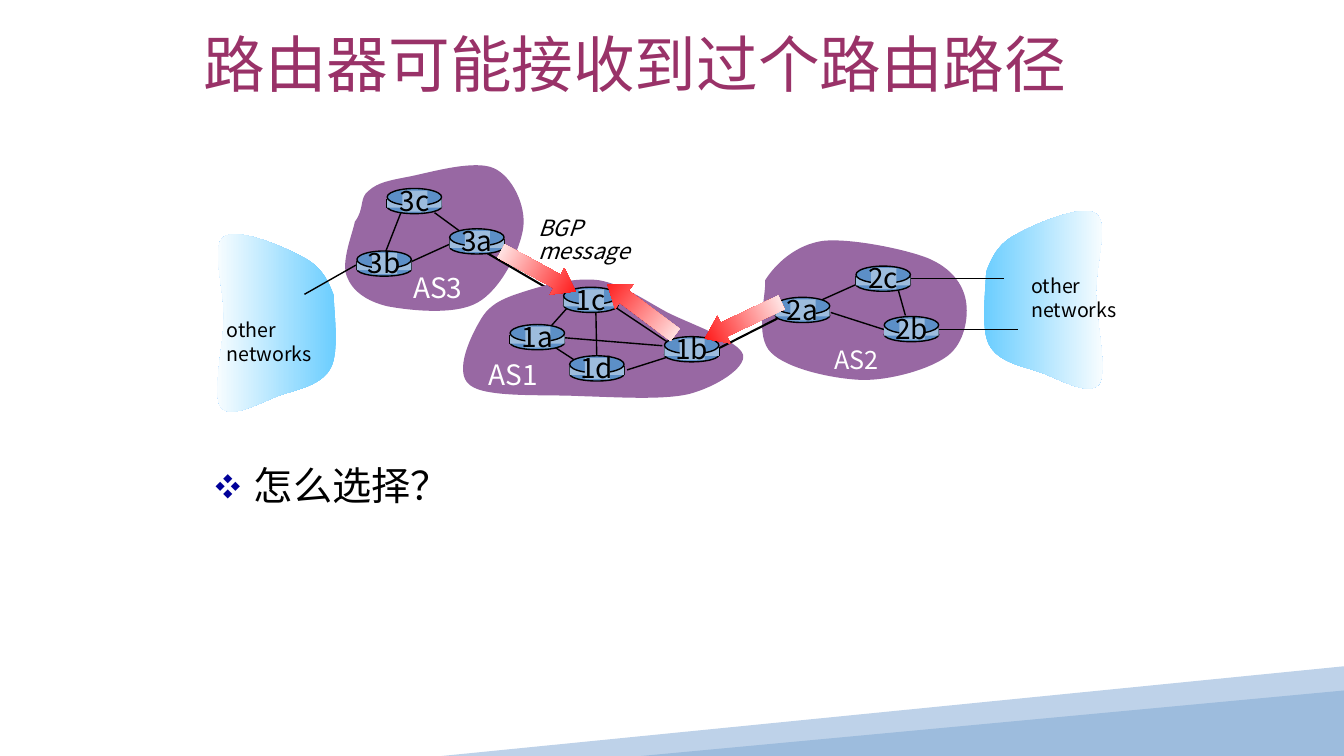
from pptx import Presentation
from pptx.dml.color import RGBColor
from pptx.enum.shapes import MSO_CONNECTOR, MSO_SHAPE
from pptx.enum.text import MSO_ANCHOR, MSO_AUTO_SIZE, PP_ALIGN
from pptx.oxml.ns import qn
from pptx.util import Pt
from lxml.etree import SubElement

PX = 9144  # 100 px to the inch
FONT = "Noto Sans CJK SC"

BLACK = RGBColor(0x00, 0x00, 0x00)
WHITE = RGBColor(0xFF, 0xFF, 0xFF)
PLUM = RGBColor(0x99, 0x32, 0x68)
AS_PURPLE = RGBColor(0x98, 0x68, 0xA3)
SKY = RGBColor(0x66, 0xCC, 0xFF)
RED = RGBColor(0xFF, 0x00, 0x00)
ROUTER_DARK = RGBColor(0x5C, 0x8F, 0xC7)
ROUTER_LIGHT = RGBColor(0x9D, 0xBC, 0xDD)
WEDGE_LIGHT = RGBColor(0xBE, 0xD2, 0xE9)

# Outlines: a start point, then cubic curves of two controls and an end.
OTHER_NETWORKS = [
    (978, 270), (984, 254), (991, 241), (1009, 232),
    (1027, 222), (1074, 202), (1087, 212), (1100, 221), (1087, 262), (1087, 290),
    (1087, 319), (1099, 368), (1090, 381), (1080, 394), (1049, 375), (1031, 369),
    (1013, 363), (990, 359), (981, 342), (972, 326), (978, 285), (978, 270)]
AS2 = [
    (759, 278), (769, 262), (789, 243), (816, 239),
    (843, 236), (897, 247), (920, 256), (944, 266), (955, 282), (958, 298),
    (961, 314), (957, 340), (940, 353), (923, 366), (885, 377), (856, 377),
    (826, 376), (781, 366), (765, 350), (748, 334), (760, 293), (759, 278)]
AS3 = [
    (352, 220), (362, 207), (356, 196), (366, 189),
    (375, 181), (386, 179), (407, 175), (427, 171), (471, 158), (490, 167),
    (508, 175), (522, 204), (519, 226), (516, 248), (497, 287), (474, 300),
    (452, 313), (407, 308), (385, 304), (363, 299), (349, 288), (344, 274),
    (338, 260), (350, 231), (352, 220)]
AS1 = [
    (478, 315), (488, 299), (505, 294), (524, 288),
    (543, 282), (571, 275), (594, 278), (617, 282), (638, 297), (662, 310),
    (686, 322), (733, 338), (737, 352), (740, 365), (710, 384), (683, 391),
    (656, 397), (612, 394), (576, 393), (540, 391), (482, 395), (466, 382),
    (449, 369), (468, 331), (478, 315)]

LINKS = [  # x1, y1, x2, y2, width in points
    (407, 260, 451, 240, 1), (457, 230, 431, 211, 1), (398, 210, 382, 251, 1),
    (353, 263, 302, 292, 1), (805, 302, 852, 281, 1), (824, 310, 877, 327, 1),
    (891, 288, 898, 313, 1), (902, 276, 996, 276, 0.75), (930, 327, 1010, 327, 0.75),
    (563, 305, 547, 323, 1), (591, 309, 592, 359, 1), (609, 304, 663, 340, 1),
    (663, 354, 622, 367, 1), (657, 343, 559, 335, 1), (548, 343, 571, 358, 1),
    (714, 345, 771, 316, 1.5)]
ROUTERS = {
    "3b": (354, 249), "3c": (384, 187), "3a": (446, 227),
    "1c": (559, 285), "1a": (506, 322), "1d": (565, 353), "1b": (659, 334),
    "2a": (769, 295), "2c": (849, 264), "2b": (877, 314)}
MESSAGES = [(492, 254, 208.5), (695, 303, 334.7), (594, 292, 36.9)]


def emu(*lengths):
    return [round(length * PX) for length in lengths]


def paint(shape, colour, outlined=False):
    shape.shadow.inherit = False
    shape.fill.solid()
    shape.fill.fore_color.rgb = colour
    if outlined:
        shape.line.color.rgb = BLACK
        shape.line.width = Pt(1)
    else:
        shape.line.fill.background()


def fade(shape, colour, angle=0):
    """Fill with a gradient from the colour to white."""
    paint(shape, colour)
    shape.fill.gradient()
    shape.fill.gradient_angle = angle
    for stop, shade in zip(shape.fill.gradient_stops, (colour, WHITE)):
        stop.color.rgb = shade


def add_preset(slide, preset, x, y, width, height):
    return slide.shapes.add_shape(preset, *emu(x, y, width, height))


def add_outline(slide, points):
    start, *rest = [emu(*point) for point in points]
    builder = slide.shapes.build_freeform(*start)
    builder.add_line_segments(rest, close=True)
    return builder.convert_to_shape()


def add_cloud(slide, outline):
    """Draw the outline, turning each three segments into one cubic curve."""
    cloud = add_outline(slide, outline)
    segments = list(cloud._element.iter(qn("a:lnTo")))
    for i in range(0, len(outline) - 1, 3):
        curve, *others = segments[i:i + 3]
        curve.tag = qn("a:cubicBezTo")
        for segment in others:
            curve.append(segment[0])
            segment.getparent().remove(segment)
    return cloud


def add_link(slide, x1, y1, x2, y2, width=1):
    link = slide.shapes.add_connector(MSO_CONNECTOR.STRAIGHT, *emu(x1, y1, x2, y2))
    link.line.color.rgb = BLACK
    link.line.width = Pt(width)
    SubElement(link._element.spPr, qn("a:effectLst"))


def write(frame, text, size, colour, italic=None, align=PP_ALIGN.LEFT, spacing=None):
    frame.text = text
    for paragraph in frame.paragraphs:
        paragraph.alignment = align
        paragraph.line_spacing = spacing
        for run in paragraph.runs:
            run.font.name = FONT
            run.font.size = Pt(size)
            run.font.italic = italic
            run.font.color.rgb = colour
            SubElement(run._r.get_or_add_rPr(), qn("a:ea"), typeface=FONT)


def add_label(slide, box, text, size, colour=BLACK, **style):
    frame = slide.shapes.add_textbox(*emu(*box)).text_frame
    frame.word_wrap = False
    frame.auto_size = MSO_AUTO_SIZE.SHAPE_TO_FIT_TEXT
    write(frame, text, size, colour, **style)


def add_router(slide, name, x, y):
    paint(add_preset(slide, MSO_SHAPE.OVAL, x, y + 11, 54, 14), ROUTER_DARK, True)
    for side in (x, x + 54):
        add_link(slide, side, y + 10, side, y + 19)
    paint(add_preset(slide, MSO_SHAPE.RECTANGLE, x, y + 10, 54, 9), ROUTER_LIGHT)
    paint(add_preset(slide, MSO_SHAPE.OVAL, x, y, 54, 17), ROUTER_DARK, True)
    paint(add_preset(slide, MSO_SHAPE.RECTANGLE, x + 15, y + 2, 25, 21), ROUTER_LIGHT)
    add_label(slide, (x, y - 10, 54, 44), name, 20, align=PP_ALIGN.CENTER)


def add_message_arrow(slide, x, y, rotation):
    arrow = add_preset(slide, MSO_SHAPE.LEFT_ARROW, x, y, 84, 30)
    arrow.adjustments[0] = 0.5
    arrow.adjustments[1] = 0.695
    arrow.rotation = rotation
    fade(arrow, RED)


def add_question(slide, text):
    frame = slide.shapes.add_textbox(*emu(204, 458, 875, 259)).text_frame
    frame.word_wrap = True
    write(frame, text, 28, BLACK, spacing=0.9)
    props = frame.paragraphs[0]._p.get_or_add_pPr()
    indent = 38 * PX
    props.set("marL", str(indent))
    props.set("indent", str(-indent))
    SubElement(SubElement(props, qn("a:buClr")), qn("a:srgbClr"), val="000099")
    SubElement(props, qn("a:buSzPct"), val="65000")
    SubElement(props, qn("a:buFont"), typeface=FONT)
    SubElement(props, qn("a:buChar"), char="❖")


def set_title(slide, text):
    title = slide.shapes.title
    title.left, title.top, title.width, title.height = emu(192, 0, 925, 125)
    title.text_frame.vertical_anchor = MSO_ANCHOR.MIDDLE
    write(title.text_frame, text, 44, PLUM)


def add_footer_wedges(slide):
    paint(add_outline(slide, [(1333, 661), (1333, 744), (897, 750), (438, 750)]), WEDGE_LIGHT)
    wedge = add_preset(slide, MSO_SHAPE.ISOSCELES_TRIANGLE, 636, 685, 697, 65)
    wedge.adjustments[0] = 1
    paint(wedge, ROUTER_LIGHT)


def main():
    deck = Presentation()
    deck.slide_width, deck.slide_height = emu(1333, 750)
    slide = deck.slides.add_slide(deck.slide_layouts[5])
    set_title(slide, "路由器可能接收到过个路由路径")
    add_footer_wedges(slide)

    fade(add_cloud(slide, OTHER_NETWORKS), SKY)
    mirrored = [(1309 - x, y + 23) for x, y in OTHER_NETWORKS]
    fade(add_cloud(slide, mirrored), SKY, angle=180)
    for outline in (AS2, AS3):
        paint(add_cloud(slide, outline), AS_PURPLE)
    add_link(slide, 483, 251, 560, 296, 1.5)  # runs beneath AS1
    paint(add_cloud(slide, AS1), AS_PURPLE)

    for link in LINKS:
        add_link(slide, *link)
    for name, (x, y) in ROUTERS.items():
        add_router(slide, name, x, y)
    for message in MESSAGES:
        add_message_arrow(slide, *message)

    add_label(slide, (400, 263, 75, 44), "AS3", 20, WHITE)
    add_label(slide, (818, 337, 70, 40), "AS2", 18, WHITE)
    add_label(slide, (475, 350, 75, 44), "AS1", 20, WHITE)
    for x, y in ((1013, 267), (215, 311)):
        add_label(slide, (x, y, 105, 57), "other\nnetworks", 14)
    add_label(slide, (524, 212, 117, 56), "BGP\nmessage", 16, italic=True, spacing=0.85)
    add_question(slide, "怎么选择？")
    deck.save("out.pptx")


if __name__ == "__main__":
    main()
